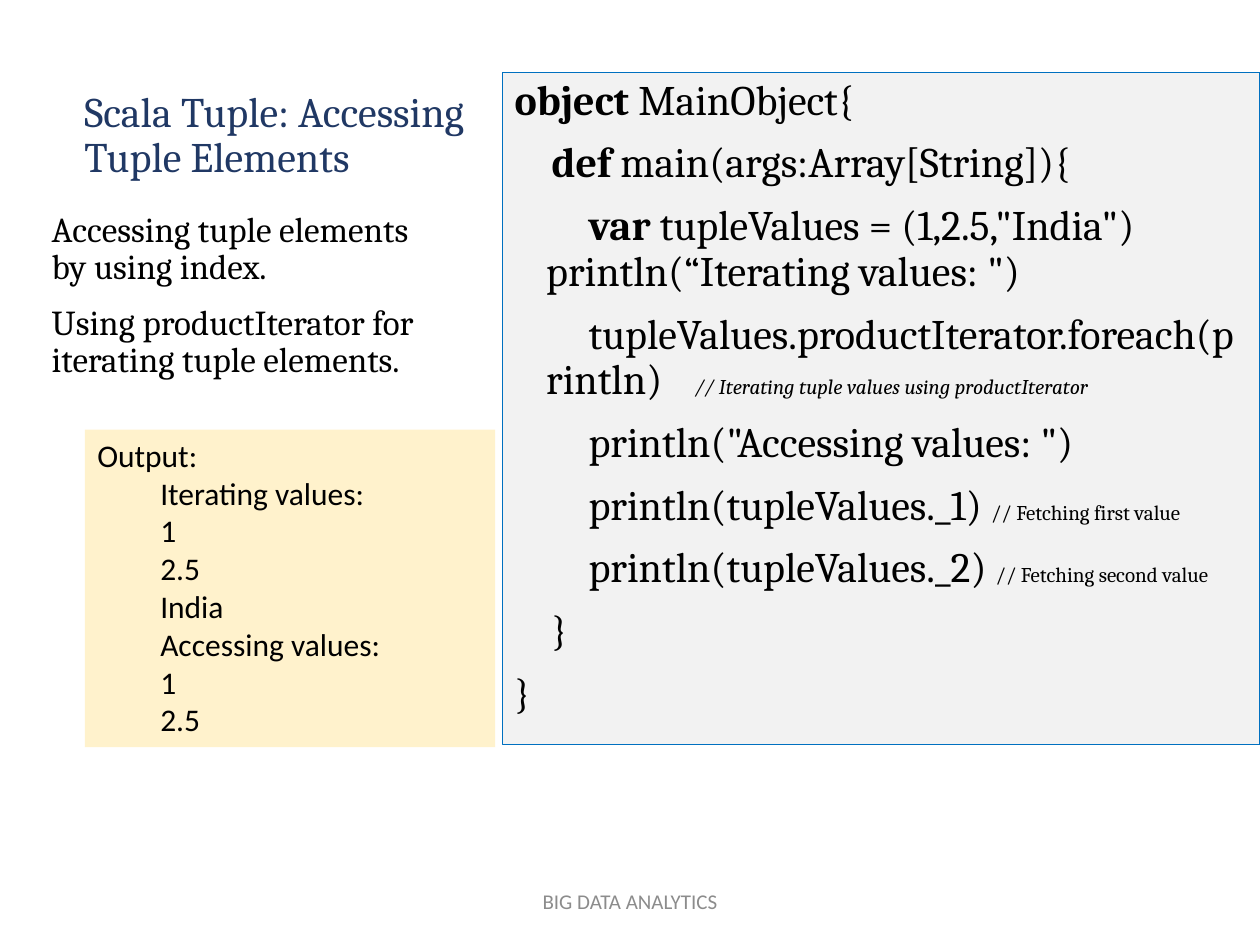
from pptx import Presentation
from pptx.dml.color import RGBColor
from pptx.enum.shapes import MSO_SHAPE
from pptx.enum.text import MSO_ANCHOR, PP_ALIGN
from pptx.util import Pt

RECT = MSO_SHAPE.RECTANGLE
TOP, MIDDLE, BOTTOM = MSO_ANCHOR.TOP, MSO_ANCHOR.MIDDLE, MSO_ANCHOR.BOTTOM
LEFT, CENTER = PP_ALIGN.LEFT, PP_ALIGN.CENTER
COLORS = {"title": "203864", "text": "000000", "code": "F2F2F2",
          "edge": "0070C0", "output": "FFF2CC", "footer": "8C8C8C"}
HARD = chr(160)  # a space that does not break


def color(name):
    return RGBColor.from_string(COLORS[name])


def style(run, size, font="Cambria", name="text"):
    run.font.size = Pt(size)
    run.font.name = font
    run.font.color.rgb = color(name)


prs = Presentation()
prs.slide_width, prs.slide_height = Pt(720), Pt(540)
slide = prs.slides.add_slide(prs.slide_layouts[5])
shapes = slide.shapes

# Title
title = shapes.title
title.left, title.top, title.width, title.height = Pt(41), Pt(19.5), Pt(232.5), Pt(88)
frame = title.text_frame
frame.text = "Scala Tuple: Accessing Tuple Elements"
frame.word_wrap = True
frame.vertical_anchor = BOTTOM
para = frame.paragraphs[0]
para.alignment = LEFT
para.line_spacing = 0.9
style(para.runs[0], 24, name="title")

# Code: each run is text and kind; "|" marks a space where the line may break
code = [
    [("object ", "bold"), ("MainObject{", "")],
    [("    ", ""), ("def", "bold"), (" main(args:Array[String]){", "")],
    [("        ", ""), ("var ", "bold"),
     ('tupleValues = (1,2.5,"India")|println(“Iterating values: ")', "")],
    [("        tupleValues.productIterator.foreach(println)   ", ""),
     (" // Iterating tuple values using productIterator", "italic")],
    [('        println("Accessing values: ")', "")],
    [("        println(tupleValues._1) ", ""), ("// Fetching first value", "small")],
    [("        println(tupleValues._2) ", ""), ("// Fetching second value", "small")],
    [("    }", "")],
    [("}", "")],
]
panel = shapes.add_shape(RECT, Pt(287), Pt(41.5), Pt(433), Pt(384))
panel.shadow.inherit = False
panel.fill.solid()
panel.fill.fore_color.rgb = color("code")
panel.line.color.rgb = color("edge")
panel.line.width = Pt(0.75)
frame = panel.text_frame
frame.word_wrap = True
frame.vertical_anchor = TOP
for i, line in enumerate(code):
    para = frame.add_paragraph() if i else frame.paragraphs[0]
    para.alignment = LEFT
    para.line_spacing = 0.9
    para.space_before = Pt(10 if i else 0)
    props = para._p.get_or_add_pPr()
    props.set("marL", str(Pt(18)))
    props.set("indent", str(-Pt(18)))
    for text, kind in line:
        run = para.add_run()
        run.text = text.replace(" ", HARD).replace("|", " ")
        style(run, 12 if kind in ("italic", "small") else 24)
        run.font.bold = kind == "bold"
        run.font.italic = kind == "italic"

# Notes on the left
notes = shapes.add_textbox(Pt(22.5), Pt(117.5), Pt(232.5), Pt(128))
frame = notes.text_frame
frame.text = ("Accessing tuple elements by using index.\n"
              "Using productIterator for iterating tuple elements.")
frame.word_wrap = True
for i, para in enumerate(frame.paragraphs):
    para.line_spacing = 0.9
    para.space_before = Pt(10 if i else 0)
    style(para.runs[0], 20)

# Output
output = shapes.add_shape(RECT, Pt(48.5), Pt(245.5), Pt(234.5), Pt(181.5))
output.shadow.inherit = False
output.fill.solid()
output.fill.fore_color.rgb = color("output")
output.line.fill.background()
frame = output.text_frame
frame.text = "Output:\nIterating values:\n1\n2.5\nIndia\nAccessing values:\n1\n2.5"
frame.word_wrap = True
frame.vertical_anchor = TOP
for i, para in enumerate(frame.paragraphs):
    para.alignment = LEFT
    para._p.get_or_add_pPr().set("marL", str(Pt(36 if i else 0)))
    style(para.runs[0], 18, "Calibri")

# Footer
footer = shapes.add_textbox(Pt(238.5), Pt(500.5), Pt(243), Pt(28.5))
frame = footer.text_frame
frame.text = "BIG DATA ANALYTICS"
frame.word_wrap = True
frame.vertical_anchor = MIDDLE
para = frame.paragraphs[0]
para.alignment = CENTER
style(para.runs[0], 12, "Calibri", "footer")

prs.save("out.pptx")
